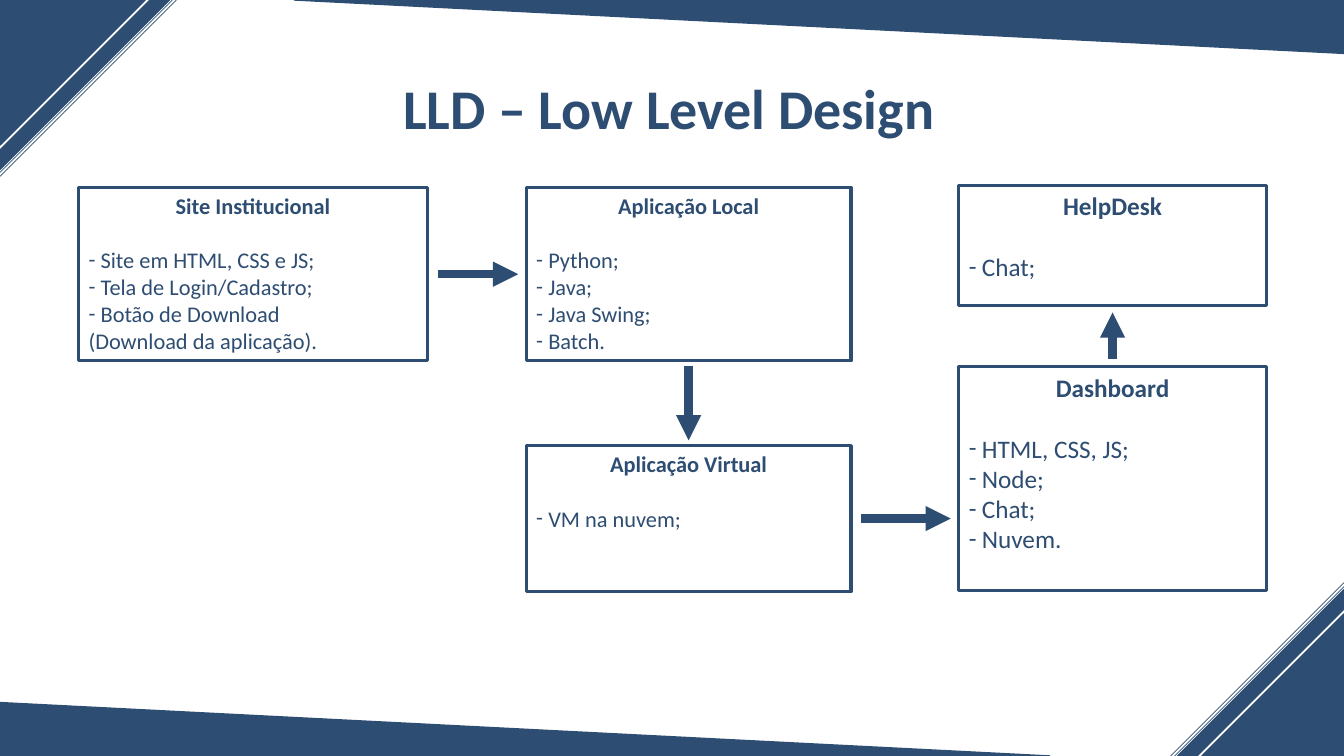
from lxml import etree
from pptx import Presentation
from pptx.dml.color import RGBColor
from pptx.enum.shapes import MSO_CONNECTOR as Connector, MSO_SHAPE as Shape
from pptx.enum.text import MSO_ANCHOR as Anchor, MSO_AUTO_SIZE as AutoSize, PP_ALIGN as Align
from pptx.oxml.ns import qn
from pptx.util import Inches, Pt

NAVY, WHITE = "2E4D72", "FFFFFF"
FONT = "Calibri"
SLIDE_W, SLIDE_H = 13.33, 7.5
LINE_FACTOR = 1.22  # line height relative to the text size

# Each component: box (left, top, width, height), text size, items
COMPONENTS = {
    "Site Institucional": ((0.78, 1.86, 3.46, 1.72), 16, [
        "Site em HTML, CSS e JS;", "Tela de Login/Cadastro;",
        "Botão de Download\n(Download da aplicação)."]),
    "Aplicação Local": ((5.22, 1.86, 3.22, 1.72), 16,
                        ["Python;", "Java;", "Java Swing;", "Batch."]),
    "Aplicação Virtual": ((5.22, 4.42, 3.22, 1.45), 16, ["VM na nuvem;"]),
    "HelpDesk": ((9.51, 1.84, 3.05, 1.19), 18, ["Chat;"]),
    "Dashboard": ((9.51, 3.64, 3.05, 2.22), 18,
                  ["HTML, CSS, JS;", "Node;", "Chat;", "Nuvem."]),
}

# Each flow: from, to, gap at start, gap at end
FLOWS = [
    ("Site Institucional", "Aplicação Local", 0.1, 0.08),
    ("Aplicação Local", "Aplicação Virtual", 0.05, 0.05),
    ("Aplicação Virtual", "Dashboard", 0.1, 0.08),
    ("Dashboard", "HelpDesk", 0.08, 0.07),
]


def color(hex_value):
    return RGBColor.from_string(hex_value)


def inches(values):
    return [Inches(value) for value in values]


def style_font(font, size, bold):
    settings = {"name": FONT, "size": Pt(size), "bold": bold}
    for key, value in settings.items():
        setattr(font, key, value)
    font.color.rgb = color(NAVY)


def paint(shape, fill=None, line_width=1):
    shape.shadow.inherit = False
    if fill:
        shape.fill.solid()
        shape.fill.fore_color.rgb = color(fill)
    else:
        shape.fill.background()
    shape.line.color.rgb = color(NAVY)
    shape.line.width = Pt(line_width)


def add_line(slide, start, end, width, arrow=False):
    line = slide.shapes.add_connector(Connector.STRAIGHT, *inches(start + end))
    line.line.color.rgb = color(NAVY)
    line.line.width = Pt(width)
    if arrow:
        etree.SubElement(line.line._get_or_add_ln(), qn("a:tailEnd"), type="triangle")
    etree.SubElement(line._element.spPr, qn("a:effectLst"))


def add_triangle(slide, box, rotation):
    triangle = slide.shapes.add_shape(Shape.RIGHT_TRIANGLE, *inches(box))
    triangle.rotation = rotation
    paint(triangle, NAVY)


def add_corner(slide, corner_x, corner_y, inward, rotation, shift=0):
    """Triangle, band and two hairlines, at rising distances from a corner."""
    def ends(distance):
        reach = inward * (distance - shift)
        return (corner_x, corner_y + reach), (corner_x + reach, corner_y)

    side = 1.44 - shift
    left, top = [edge if inward > 0 else edge - side for edge in (corner_x, corner_y)]
    add_triangle(slide, (left, top, side, side), rotation)

    # Band
    points = [*ends(1.49), *reversed(ends(1.68))]
    first, *others = [tuple(inches(point)) for point in points]
    outline = slide.shapes.build_freeform(*first)
    outline.add_line_segments(others, close=True)
    paint(outline.convert_to_shape(), NAVY)

    # Hairlines
    for distance in (1.71, 1.75):
        add_line(slide, *ends(distance), 0.5)


def add_frame(slide):
    wedge_w, wedge_h = 10.41, 0.53
    add_corner(slide, 0, 0, 1, 90)
    add_corner(slide, SLIDE_W, SLIDE_H, -1, 270, shift=0.03)
    add_triangle(slide, (SLIDE_W - wedge_w, 0, wedge_w, wedge_h), 180)
    add_triangle(slide, (0, SLIDE_H - wedge_h, wedge_w, wedge_h), 0)


def add_title(slide, text, box):
    title = slide.shapes.title
    for key, value in zip(("left", "top", "width", "height"), inches(box)):
        setattr(title, key, value)
    frame = title.text_frame
    settings = {"text": text, "word_wrap": True, "auto_size": AutoSize.NONE,
                "vertical_anchor": Anchor.TOP}
    for key, value in settings.items():
        setattr(frame, key, value)
    heading = frame.paragraphs[0]
    heading.alignment = Align.LEFT
    style_font(heading.font, 40, True)


def add_dash(paragraph, size):
    hang = Inches(round(size * 0.0072, 2))
    properties = paragraph._p.get_or_add_pPr()
    properties.set("marL", str(hang))
    properties.set("indent", str(-hang))
    etree.SubElement(properties, qn("a:buFont"), typeface=FONT)
    etree.SubElement(properties, qn("a:buChar"), char="-")


def add_component(slide, name, box, size, items):
    component = slide.shapes.add_shape(Shape.RECTANGLE, *inches(box))
    paint(component, WHITE if name == "Aplicação Local" else None, 2.25)
    frame = component.text_frame
    frame.word_wrap = True
    frame.vertical_anchor = Anchor.TOP

    heading = frame.paragraphs[0]
    heading.text = name
    heading.alignment = Align.CENTER
    heading.space_after = Pt(round(size * LINE_FACTOR, 1))
    style_font(heading.font, size, True)

    for item in items:
        for position, line in enumerate(item.split("\n")):
            entry = frame.add_paragraph()
            entry.text = line
            entry.alignment = Align.LEFT
            if position == 0:
                add_dash(entry, size)
            style_font(entry.font, size, False)


def add_flow(slide, source, target, start_gap, end_gap):
    left, top, width, height = source
    next_left, next_top, _, next_height = target
    middle_x, middle_y = left + width / 2, top + height / 2
    if next_left >= left + width:  # to the right
        start = (left + width + start_gap, middle_y)
        end = (next_left - end_gap, middle_y)
    elif next_top > top:  # down
        start = (middle_x, top + height + start_gap)
        end = (middle_x, next_top - end_gap)
    else:  # up
        start = (middle_x, top - start_gap)
        end = (middle_x, next_top + next_height + end_gap)
    add_line(slide, start, end, 6, arrow=True)


def add_design_slide(deck):
    slide = deck.slides.add_slide(deck.slide_layouts[5])
    add_frame(slide)
    add_title(slide, "LLD – Low Level Design", (3.9, 0.68, 5.53, 0.77))
    for name, (box, size, items) in COMPONENTS.items():
        add_component(slide, name, box, size, items)
    for source, target, *gaps in FLOWS:
        add_flow(slide, COMPONENTS[source][0], COMPONENTS[target][0], *gaps)


def main():
    deck = Presentation()
    deck.slide_width, deck.slide_height = inches((SLIDE_W, SLIDE_H))
    add_design_slide(deck)
    deck.save("out.pptx")


if __name__ == "__main__":
    main()
